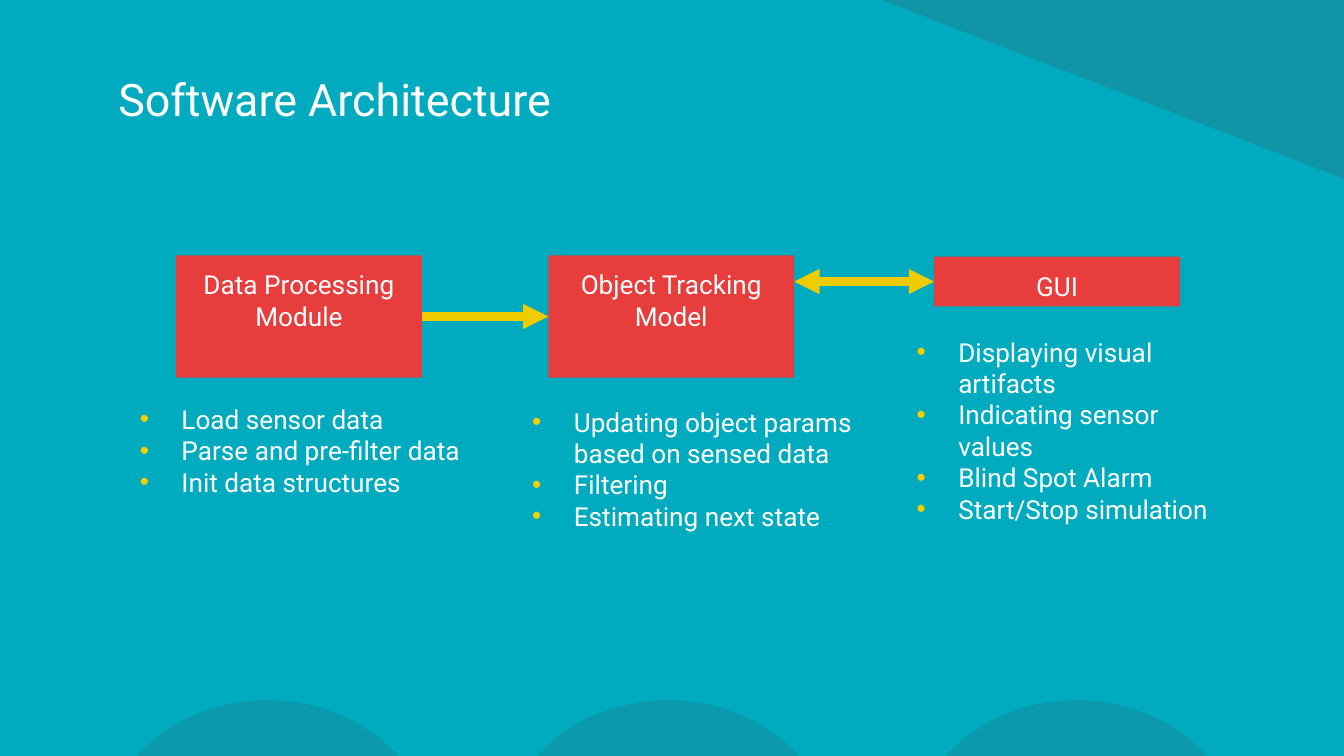
import dataclasses

import pptx
import pptx.dml.color
import pptx.enum.dml
import pptx.enum.shapes
import pptx.enum.text
import pptx.oxml
import pptx.oxml.ns
import pptx.util

Inches = pptx.util.Inches
Pt = pptx.util.Pt
RGB = pptx.dml.color.RGBColor.from_string
Align = pptx.enum.text.PP_ALIGN
Anchor = pptx.enum.text.MSO_ANCHOR
Shape = pptx.enum.shapes.MSO_SHAPE


@dataclasses.dataclass(frozen=True)
class Theme:
    font: str = "Roboto"
    background: str = "00ABBF"
    decoration: str = "336574"
    box: str = "E83D3D"
    text: str = "FFFFFF"
    bullet: str = "F4D000"
    arrow: str = "EFCB00"
    title_size: int = 24
    body_size: int = 14
    arrow_width: float = 4.5


theme = Theme()


def add_xml(parent, tag, content="", **attributes):
    """Append one DrawingML element, with optional inner XML, to parent."""
    values = "".join(f' {name}="{value}"' for name, value in attributes.items())
    namespace = pptx.oxml.ns.nsdecls("a")
    parent.append(pptx.oxml.parse_xml(f"<a:{tag} {namespace}{values}>{content}</a:{tag}>"))


def write_text(shape, text, size=theme.body_size, align=Align.LEFT, anchor=Anchor.TOP, bullets=False):
    """Fill the shape with one paragraph per line of text."""
    frame = shape.text_frame
    frame.text = text
    frame.word_wrap = True
    frame.auto_size = pptx.enum.text.MSO_AUTO_SIZE.NONE
    frame.vertical_anchor = anchor
    frame.margin_left = frame.margin_right = Inches(0.1)
    frame.margin_top = frame.margin_bottom = Inches(0.1)
    for paragraph in frame.paragraphs:
        paragraph.alignment = align
        paragraph.space_before = paragraph.space_after = Pt(0)
        paragraph.line_spacing = 1.0
        for run in paragraph.runs:
            run.font.name = theme.font
            run.font.size = Pt(size)
            run.font.bold = False
            run.font.color.rgb = RGB(theme.text)
        if bullets:
            properties = paragraph._p.get_or_add_pPr()
            properties.set("marL", str(Inches(0.31)))
            properties.set("indent", str(-Inches(0.31)))
            add_xml(properties, "buClr", f'<a:srgbClr val="{theme.bullet}"/>')
            add_xml(properties, "buChar", char="•")


presentation = pptx.Presentation()
presentation.slide_width = Inches(10)
presentation.slide_height = presentation.slide_width * 9 // 16
# The Comparison layout has a title and four body placeholders.
slide = presentation.slides.add_slide(presentation.slide_layouts[4])
slide.background.fill.solid()
slide.background.fill.fore_color.rgb = RGB(theme.background)

# Translucent decorations, placed behind everything else
decorations = [(Shape.RIGHT_TRIANGLE, 6.56, 0, 3.44, 1.33, 180, 32)]
decorations += [(Shape.OVAL, left, 5.21, 2.4, 2.02, 0, 23) for left in (0.79, 3.77, 6.81)]
for position, (kind, left, top, width, height, rotation, opacity) in enumerate(decorations):
    decoration = slide.shapes.add_shape(kind, Inches(left), Inches(top), Inches(width), Inches(height))
    decoration.rotation = rotation
    decoration.shadow.inherit = False
    decoration.line.fill.background()
    decoration.fill.solid()
    decoration.fill.fore_color.rgb = RGB(theme.decoration)
    color = decoration._element.spPr.find(".//" + pptx.oxml.ns.qn("a:srgbClr"))
    add_xml(color, "alpha", val=opacity * 1000)
    slide.shapes._spTree.insert(2 + position, decoration._element)

title = slide.shapes.title
title.left, title.top, title.width, title.height = map(Inches, (0.78, 0.42, 8.44, 0.63))
write_text(title, "Software Architecture", size=theme.title_size, anchor=Anchor.MIDDLE)

# Each module: name, box (left, top, height), list frame, list items
modules = [
    ("Data Processing Module", (1.31, 1.9, 0.91), (0.94, 2.9, 2.67, 0.77),
     ["Load sensor data", "Parse and pre-filter data", "Init data structures"]),
    ("Object Tracking Model", (4.08, 1.9, 0.91), (3.86, 2.92, 2.67, 1.21),
     ["Updating object params based on sensed data", "Filtering", "Estimating next state"]),
    ("GUI", (6.95, 1.91, 0.37), (6.72, 2.4, 2.5, 1.61),
     ["Displaying visual artifacts", "Indicating sensor values", "Blind Spot Alarm",
      "Start/Stop simulation"]),
]
bodies = [shape for shape in slide.placeholders if shape.placeholder_format.idx > 0]
boxes = []
for (name, (left, top, height), frame, items), body in zip(modules, bodies):
    box = slide.shapes.add_shape(
        Shape.RECTANGLE, Inches(left), Inches(top), Inches(1.83), Inches(height))
    box.shadow.inherit = False
    box.fill.solid()
    box.fill.fore_color.rgb = RGB(theme.box)
    box.line.fill.background()
    write_text(box, name, align=Align.CENTER)
    boxes.append(box)

    body.left, body.top, body.width, body.height = map(Inches, frame)
    write_text(body, "\n".join(items), bullets=True)

for unused in bodies[len(modules):]:
    unused._element.getparent().remove(unused._element)

processing, tracking, gui = boxes
gui_middle = gui.top + gui.height // 2
connections = [
    (tracking, gui, gui_middle, ("headEnd", "tailEnd")),
    (processing, tracking, tracking.top + tracking.height // 2, ("tailEnd",)),
]
for source, target, middle, ends in connections:
    arrow = slide.shapes.add_connector(
        pptx.enum.shapes.MSO_CONNECTOR.STRAIGHT,
        source.left + source.width, middle, target.left, middle)
    if source.top + source.height // 2 == middle:
        arrow.begin_connect(source, 3)
    arrow.end_connect(target, 1)
    arrow.line.color.rgb = RGB(theme.arrow)
    arrow.line.width = Pt(theme.arrow_width)
    for end in ends:
        add_xml(arrow.line._get_or_add_ln(), end, type="triangle")
    add_xml(arrow._element.spPr, "effectLst")

presentation.save("out.pptx")
